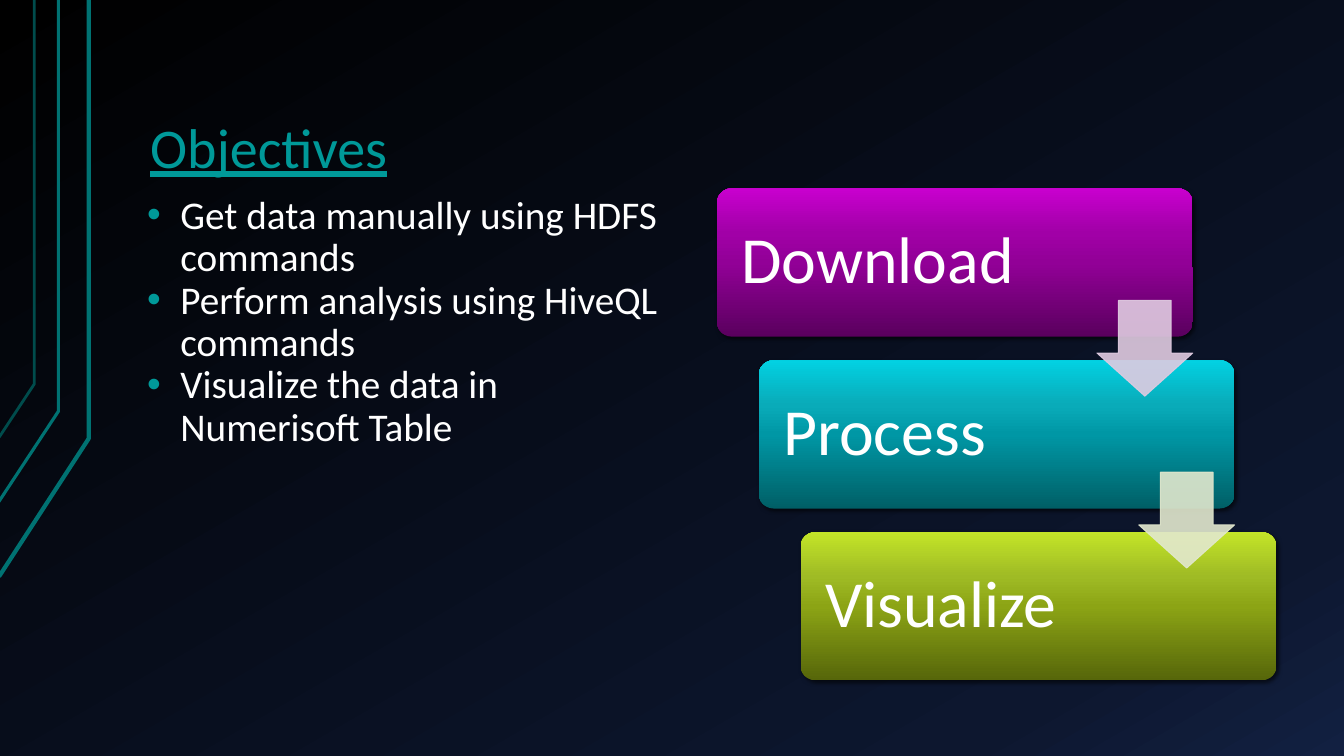
from dataclasses import dataclass

from lxml.etree import SubElement
from pptx import Presentation
from pptx.dml.color import RGBColor
from pptx.enum.shapes import MSO_SHAPE as Preset
from pptx.enum.text import MSO_ANCHOR as Anchor, PP_ALIGN as Align
from pptx.oxml.ns import qn
from pptx.util import Inches, Pt

FONT = "Calibri"
WHITE = RGBColor(0xFF, 0xFF, 0xFF)
BLACK = RGBColor(0x00, 0x00, 0x00)
TEAL = RGBColor(0x00, 0x99, 0x99)
DEEP_TEAL = RGBColor(0x00, 0x72, 0x72)
DARK_TEAL = RGBColor(0x00, 0x4C, 0x4C)
PALE_PINK = RGBColor(0xE0, 0xCB, 0xE1)
PALE_LIME = RGBColor(0xE2, 0xE8, 0xCE)
NIGHT = [(0, BLACK), (85, RGBColor(0x0D, 0x17, 0x2F)), (100, RGBColor(0x12, 0x20, 0x41))]
PURPLE = [RGBColor(0x5A, 0x00, 0x5E), RGBColor(0x92, 0x00, 0x97),
          RGBColor(0xA1, 0x00, 0xA7), RGBColor(0xC8, 0x00, 0xCE)]
CYAN = [RGBColor(0x00, 0x5F, 0x66), RGBColor(0x00, 0x97, 0xA5),
        RGBColor(0x09, 0xAB, 0xB9), RGBColor(0x02, 0xD1, 0xE2)]
LIME = [RGBColor(0x56, 0x66, 0x0A), RGBColor(0x8C, 0xA4, 0x15),
        RGBColor(0x9F, 0xBB, 0x25), RGBColor(0xC3, 0xE4, 0x28)]
STEP_STOPS = [0, 50, 70, 100]

STEP_LEFT, STEP_TOP, STEP_WIDTH, STEP_HEIGHT = 7.11, 1.87, 4.72, 1.47
STEP_SHIFT, STEP_PITCH = 0.415, 1.705
ARROW_LEFT, ARROW_TOP, ARROW_SIZE = 10.88, 2.98, 0.95


@dataclass
class Step:
    label: str
    colors: list[RGBColor]


@dataclass
class Trace:
    """A circuit line that drops from the top edge and bends to the left edge."""
    x: float
    bend_y: float
    end_x: float
    end_y: float
    color: RGBColor
    weight: float


TRACES = [
    Trace(0.88, 4.35, -0.01, 5.72, DEEP_TEAL, 3),
    Trace(0.58, 4.08, -0.02, 4.99, DEEP_TEAL, 2.25),
    Trace(0.34, 3.81, -0.01, 4.34, DARK_TEAL, 2),
]
STEPS = [Step("Download", PURPLE), Step("Process", CYAN), Step("Visualize", LIME)]
ARROW_COLORS = [PALE_PINK, PALE_LIME]
OBJECTIVES = [
    "Get data manually using HDFS commands",
    "Perform analysis using HiveQL commands",
    "Visualize the data in Numerisoft Table",
]


def set_gradient(owner, stops: list[tuple[int, RGBColor]], angle: int) -> None:
    """Replace the stops of the gradient already present inside owner's XML."""
    gradient = owner.find(".//" + qn("a:gradFill"))
    stop_list = gradient.find(qn("a:gsLst"))
    for stop in list(stop_list):
        stop_list.remove(stop)
    for position, color in stops:
        stop = SubElement(stop_list, qn("a:gs"), pos=str(position * 1000))
        SubElement(stop, qn("a:srgbClr"), val=str(color))
    gradient.find(qn("a:lin")).set("ang", str(angle * 60000))


def format_text(paragraph, size: int, color: RGBColor, underline: bool = False) -> None:
    paragraph.alignment = Align.LEFT
    paragraph.line_spacing = 0.9
    for run in paragraph.runs:
        run.font.name = FONT
        run.font.size = Pt(size)
        run.font.color.rgb = color
        if underline:
            run.font.underline = True


def add_bullet(paragraph) -> None:
    properties = paragraph._p.get_or_add_pPr()
    properties.set("marL", str(Inches(0.33)))
    properties.set("indent", str(-Inches(0.33)))
    bullet_color = SubElement(properties, qn("a:buClr"))
    SubElement(bullet_color, qn("a:srgbClr"), val=str(TEAL))
    SubElement(properties, qn("a:buFont"), typeface="Arial")
    SubElement(properties, qn("a:buChar"), char="•")


def add_text_frame(slide, left: float, top: float, width: float, height: float, anchor):
    frame = slide.shapes.add_textbox(
        Inches(left), Inches(top), Inches(width), Inches(height)).text_frame
    frame.word_wrap = True
    frame.vertical_anchor = anchor
    frame.margin_left = frame.margin_right = Inches(0.13)
    frame.margin_top = frame.margin_bottom = Inches(0.07)
    return frame


def add_trace(slide, trace: Trace) -> None:
    builder = slide.shapes.build_freeform(Inches(trace.end_x), Inches(trace.end_y))
    builder.add_line_segments(
        [(Inches(trace.x), Inches(trace.bend_y)), (Inches(trace.x), 0)], close=False)
    line = builder.convert_to_shape()
    line.shadow.inherit = False
    line.fill.background()
    line.line.color.rgb = trace.color
    line.line.width = Pt(trace.weight)


def add_shadow(shape) -> None:
    shape.shadow.inherit = False
    effects = shape._element.spPr.find(qn("a:effectLst"))
    shadow = SubElement(effects, qn("a:outerShdw"), blurRad=str(Pt(3)), dist=str(Pt(2)),
                        dir=str(45 * 60000), rotWithShape="0")
    color = SubElement(shadow, qn("a:srgbClr"), val=str(BLACK))
    SubElement(color, qn("a:alpha"), val="60000")


def add_step(slide, index: int, step: Step) -> None:
    box = slide.shapes.add_shape(
        Preset.ROUNDED_RECTANGLE,
        Inches(STEP_LEFT + index * STEP_SHIFT), Inches(STEP_TOP + index * STEP_PITCH),
        Inches(STEP_WIDTH), Inches(STEP_HEIGHT))
    box.adjustments[0] = 0.1
    box.fill.gradient()
    set_gradient(box._element, list(zip(STEP_STOPS, step.colors)), 270)
    box.line.fill.background()
    add_shadow(box)
    frame = box.text_frame
    frame.text = step.label
    frame.word_wrap = True
    frame.vertical_anchor = Anchor.MIDDLE
    frame.margin_left = frame.margin_right = Inches(0.2)
    frame.margin_top = frame.margin_bottom = Inches(0.2)
    format_text(frame.paragraphs[0], 47, WHITE)


def add_arrow(slide, index: int, color: RGBColor) -> None:
    arrow = slide.shapes.add_shape(
        Preset.DOWN_ARROW,
        Inches(ARROW_LEFT + index * STEP_SHIFT), Inches(ARROW_TOP + index * STEP_PITCH),
        Inches(ARROW_SIZE), Inches(ARROW_SIZE))
    arrow.adjustments[0] = 0.55
    arrow.adjustments[1] = 0.45
    arrow.shadow.inherit = False
    arrow.fill.solid()
    arrow.fill.fore_color.rgb = color
    arrow.line.color.rgb = color
    arrow.line.width = Pt(0.75)
    for tint in arrow._element.spPr.iter(qn("a:srgbClr")):
        SubElement(tint, qn("a:alpha"), val="90000")


def main() -> None:
    deck = Presentation()
    deck.slide_width, deck.slide_height = Inches(13.33), Inches(7.5)
    slide = deck.slides.add_slide(deck.slide_layouts[6])
    slide.background.fill.gradient()
    set_gradient(slide._element, NIGHT, 60)

    for trace in TRACES:
        add_trace(slide, trace)

    title = add_text_frame(slide, 1.36, 0.52, 11.33, 1.34, Anchor.BOTTOM)
    title.text = "Objectives"
    format_text(title.paragraphs[0], 40, TEAL, underline=True)

    objectives = add_text_frame(slide, 1.33, 1.87, 5.55, 4.88, Anchor.TOP)
    objectives.text = "\n".join(OBJECTIVES)
    for objective in objectives.paragraphs:
        add_bullet(objective)
        format_text(objective, 28, WHITE)

    for index, step in enumerate(STEPS):
        add_step(slide, index, step)
    for index, color in enumerate(ARROW_COLORS):
        add_arrow(slide, index, color)

    deck.save("out.pptx")


if __name__ == "__main__":
    main()
